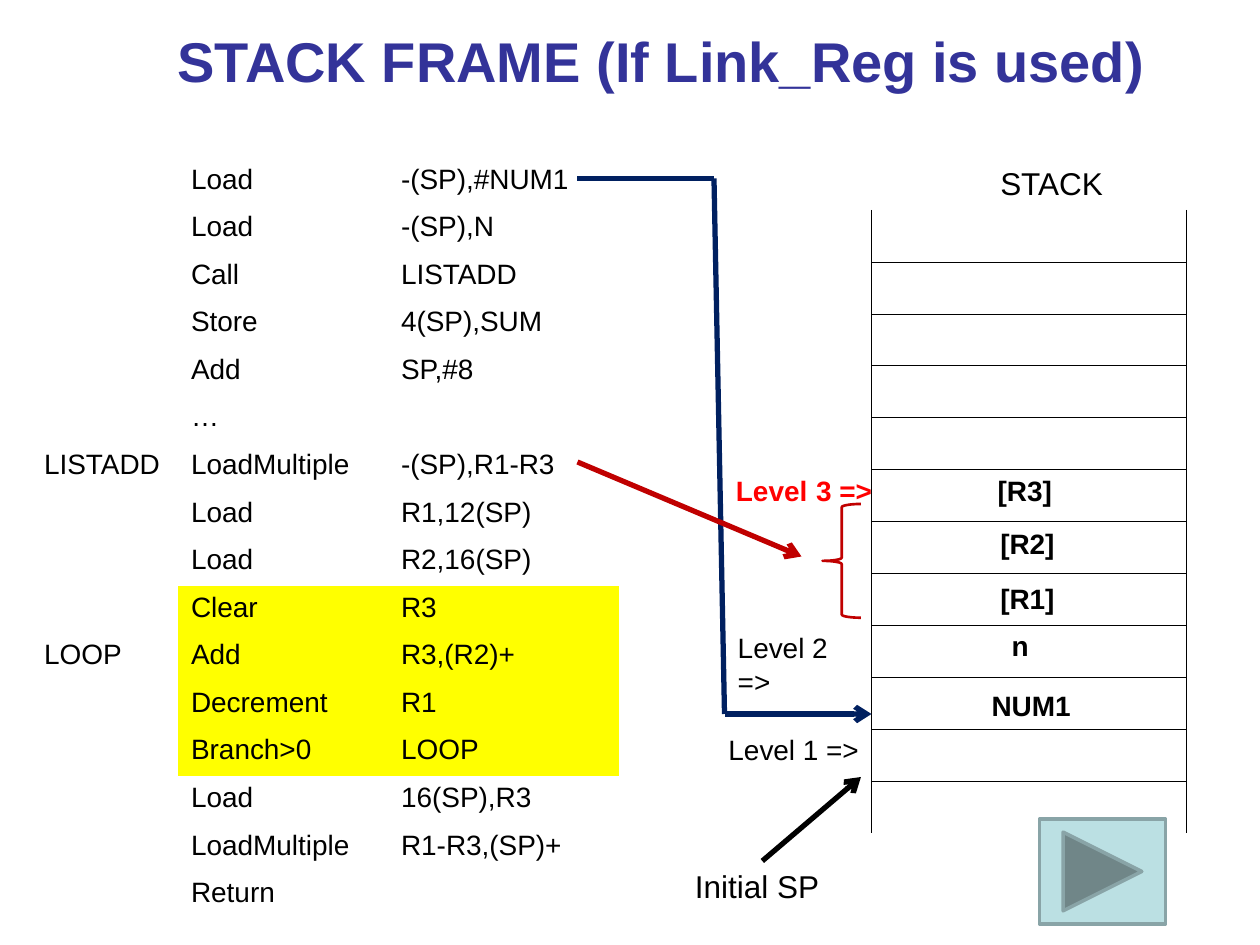
from dataclasses import dataclass

from lxml.etree import SubElement
from pptx import Presentation
from pptx.dml.color import RGBColor
from pptx.enum.shapes import MSO_CONNECTOR, MSO_SHAPE
from pptx.enum.text import MSO_ANCHOR, MSO_AUTO_SIZE, PP_ALIGN
from pptx.oxml.ns import qn
from pptx.util import Pt


@dataclass(frozen=True)
class Theme:
    font: str = "Arial"
    black: str = "000000"
    title: str = "333399"
    navy: str = "002060"
    red: str = "FF0000"
    dark: str = "C00000"
    mark: str = "FFFF00"
    face: str = "BBE0E3"
    edge: str = "89A4A7"
    big: int = 32
    mid: int = 18
    base: int = 16
    thick: float = 3
    thin: float = 0.45


T = Theme()
PLAIN = "{2D5ABB26-0587-4C30-8999-92F81FD0307C}"

CODE = [
    ("", "Load", "-(SP),#NUM1"),
    ("", "Load", "-(SP),N"),
    ("", "Call", "LISTADD"),
    ("", "Store", "4(SP),SUM"),
    ("", "Add", "SP,#8"),
    ("", "…", ""),
    ("LISTADD", "LoadMultiple", "-(SP),R1-R3"),
    ("", "Load", "R1,12(SP)"),
    ("", "Load", "R2,16(SP)"),
    ("", "Clear", "R3"),
    ("LOOP", "Add", "R3,(R2)+"),
    ("", "Decrement", "R1"),
    ("", "Branch>0", "LOOP"),
    ("", "Load", "16(SP),R3"),
    ("", "LoadMultiple", "R1-R3,(SP)+"),
    ("", "Return", ""),
]
LOOP = range(9, 13)

# Text, left, top, width, height, size, bold
NOTES = [
    ("STACK", 564.5, 90, 74, 29, T.mid, False),
    ("Initial SP", 390, 492, 90, 29, T.mid, False),
    ("Level 2 =>", 414.5, 357, 88.5, 26.5, T.base, False),
    ("[R3]", 563, 267, 45.5, 26.5, T.base, True),
    ("[R2]", 564.5, 297.5, 45.5, 26.5, T.base, True),
    ("[R1]", 564.5, 328.5, 45.5, 26.5, T.base, True),
    ("n", 571, 355.5, 24, 26.5, T.base, True),
    ("NUM1", 559.5, 390, 60, 26.5, T.base, True),
]


def rgb(code):
    return RGBColor.from_string(code)


def style(para, size, bold=False, color=T.black):
    font = para.font
    font.name, font.size, font.bold = T.font, Pt(size), bold
    font.color.rgb = rgb(color)


def label(slide, box, texts, size, bold=False, color=T.black):
    """Put one line of text in a box; texts holds its runs."""
    frame = slide.shapes.add_textbox(*map(Pt, box)).text_frame
    frame.word_wrap = False
    frame.auto_size = MSO_AUTO_SIZE.SHAPE_TO_FIT_TEXT
    para = frame.paragraphs[0]
    for text in texts:
        para.add_run().text = text
    style(para, size, bold, color)
    return frame


def line(slide, start, end, color, arrow=False):
    link = slide.shapes.add_connector(
        MSO_CONNECTOR.STRAIGHT, *map(Pt, (*start, *end)))
    link.line.color.rgb = rgb(color)
    link.line.width = Pt(T.thick)
    if arrow:
        SubElement(link.line._get_or_add_ln(), qn("a:tailEnd"), type="arrow")
    SubElement(link._element.spPr, qn("a:effectLst"))


def grid(slide, box, rows, widths):
    """Add a plain table with equal rows."""
    frame = slide.shapes.add_table(rows, len(widths), *map(Pt, box))
    table = frame.table
    table.first_row = table.horz_banding = False
    table._tbl.tblPr.find(qn("a:tableStyleId")).text = PLAIN
    for col, width in zip(table.columns, widths):
        col.width = Pt(width)
    for row in table.rows:
        row.height = Pt(box[3] / rows)
    return table


def fill(cell, text, color=None):
    if color:
        cell.fill.solid()
        cell.fill.fore_color.rgb = rgb(color)
    else:
        cell.fill.background()
    if text:
        cell.text = text
    else:
        cell.margin_top = cell.margin_bottom = 0
    para = cell.text_frame.paragraphs[0]
    style(para, T.base)
    return para


def border(cell, sides):
    props = cell._tc.get_or_add_tcPr()
    for spot, side in enumerate(sides):
        edge = props.makeelement(qn(f"a:ln{side}"), {"w": str(Pt(T.thin))})
        solid = SubElement(edge, qn("a:solidFill"))
        SubElement(solid, qn("a:srgbClr"), val=T.black)
        props.insert(spot, edge)


def head(slide, box):
    frame = label(slide, box, ["STACK FRAME (If Link_Reg is used)"],
                  T.big, True, T.title)
    frame.word_wrap = True
    frame.auto_size = MSO_AUTO_SIZE.NONE
    frame.vertical_anchor = MSO_ANCHOR.MIDDLE
    frame.paragraphs[0].alignment = PP_ALIGN.CENTER


def stack(slide, box):
    rows = 12
    table = grid(slide, box, rows, (box[2] / 3, box[2] * 2 / 3))
    for row in range(rows):
        left, slot = table.cell(row, 0), table.cell(row, 1)
        para = fill(left, "Level 1 =>" if row == 10 else "")
        para.alignment = PP_ALIGN.RIGHT
        fill(slot, "")
        border(left, "R")
        # The stack stays open at its top and bottom
        border(slot, "LRB" if row == 0 else "LRT" if row == rows - 1 else "LRTB")


def code(slide, box):
    table = grid(slide, box, len(CODE), (84, 120, 132))
    for row, words in enumerate(CODE):
        for col, word in enumerate(words):
            marked = row in LOOP and col > 0
            fill(table.cell(row, col), word, T.mark if marked else None)


def notes(slide):
    for text, *box, size, bold in NOTES:
        label(slide, box, [text], size, bold)
    frame = label(slide, (413.5, 265, 92, 29), ["Level", " ", "3 =>"],
                  T.base, True, T.red)
    frame.paragraphs[0].runs[1].font.size = Pt(T.mid)


def links(slide):
    line(slide, (435.6, 492), (492, 444), T.black, True)
    # Path from the first load to its slot
    path = [(330, 102), (408, 102), (414, 408), (498, 408)]
    for start, end in zip(path, path[1:]):
        line(slide, start, end, T.navy, end == path[-1])
    line(slide, (330, 264), (458, 318), T.dark, True)


def brace(slide, box):
    shape = slide.shapes.add_shape(MSO_SHAPE.LEFT_BRACE, *map(Pt, box))
    shape.shadow.inherit = False
    shape.fill.background()
    shape.line.color.rgb = rgb(T.dark)
    shape.line.width = Pt(1.5)


def button(slide, box):
    shape = slide.shapes.add_shape(
        MSO_SHAPE.ACTION_BUTTON_FORWARD_OR_NEXT, *map(Pt, box))
    shape.shadow.inherit = False
    shape.fill.solid()
    shape.fill.fore_color.rgb = rgb(T.face)
    shape.line.color.rgb = rgb(T.edge)
    shape.line.width = Pt(2)


def main():
    deck = Presentation()
    deck.slide_width, deck.slide_height = Pt(720), Pt(540)
    slide = deck.slides.add_slide(deck.slide_layouts[6])
    head(slide, (54, 9.5, 648, 50))
    stack(slide, (408, 120, 270, 356.4))
    code(slide, (18, 90, 336, 435.2))
    links(slide)
    notes(slide)
    brace(slide, (470, 288, 22, 65))
    button(slide, (594, 468, 72, 60))
    deck.save("out.pptx")


if __name__ == "__main__":
    main()
